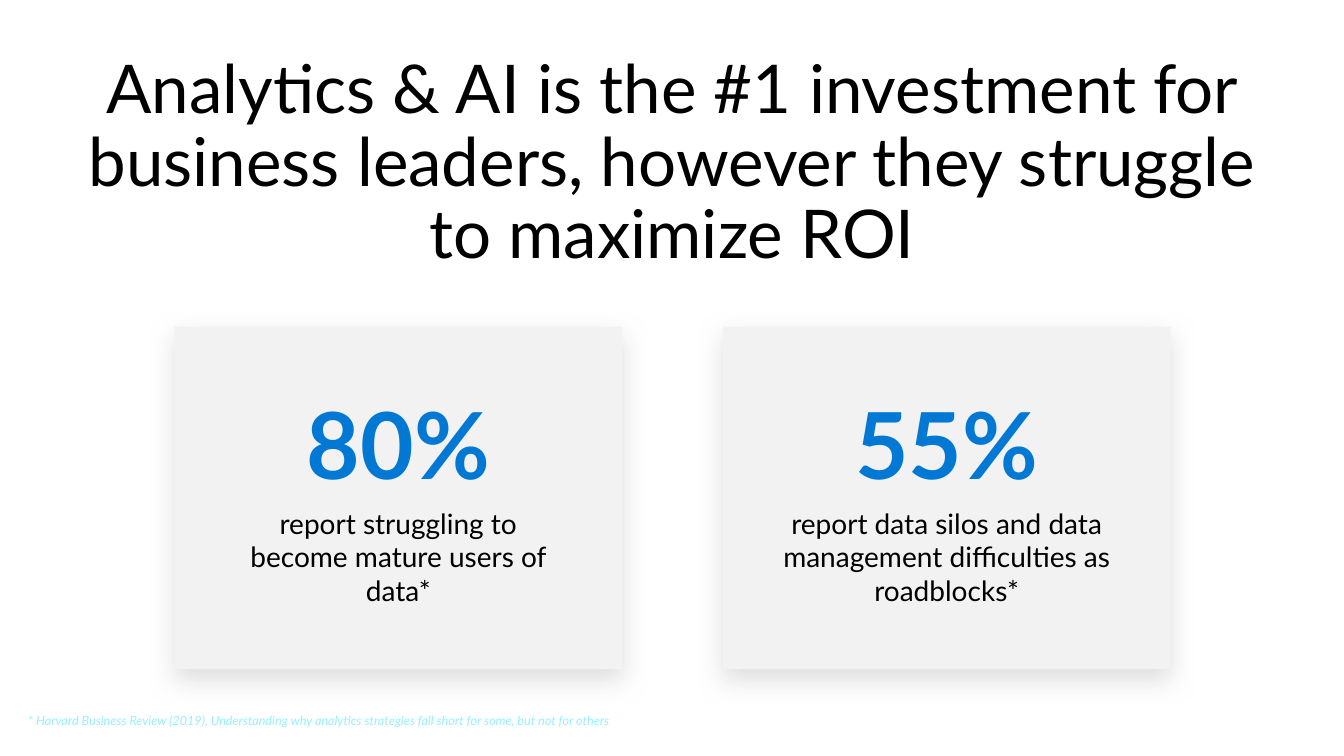
from pptx import Presentation, util as u
from pptx.dml.color import RGBColor
from pptx.enum import shapes, text
from pptx.oxml import parse_xml
from pptx.oxml.ns import nsdecls

HEADLINE = ("Analytics & AI is the #1 investment for business leaders, "
            "however they struggle to maximize ROI")
FINDINGS = [
    ("80%", "report struggling to become mature users of data*", 3.35),
    ("55%", "report data silos and data management difficulties as roadblocks*", 5.09),
]
FOOTNOTE = ("* Harvard Business Review (2019), Understanding why analytics "
            "strategies fall short for some, but not for others")

WIDTH, HEIGHT = 13.33, 7.5
CARD_LEFT, CARD_TOP, CARD_W, CARD_H = 1.73, 3.24, 4.44, 3.4
CARD_PITCH = CARD_W + 1
FINDING_TOP, FINDING_H = 3.68, 2.53

SHADOW = """<a:effectLst %s><a:outerShdw blurRad="%d" dist="%d" dir="5400000"
 algn="t" rotWithShape="0"><a:srgbClr val="D9D9D9"><a:alpha val="85000"/></a:srgbClr>
</a:outerShdw></a:effectLst>""" % (nsdecls("a"), u.Pt(18), u.Pt(7))


def color(code):
    return RGBColor.from_string(code)


def place(*lengths):
    return [u.Inches(length) for length in lengths]


def style(paragraph, size, code, bold=False, italic=False, align=text.PP_ALIGN.CENTER):
    paragraph.alignment = align
    for run in paragraph.runs:
        font = run.font
        font.name, font.size = "Lato", u.Pt(size)
        font.bold, font.italic = bold, italic
        font.color.rgb = color(code)


def add_text(slide, box, lines):
    frame = slide.shapes.add_textbox(*place(*box)).text_frame
    frame.word_wrap = True
    frame.auto_size = text.MSO_AUTO_SIZE.SHAPE_TO_FIT_TEXT
    frame.margin_left = frame.margin_right = u.Inches(0.2)
    frame.margin_top = frame.margin_bottom = u.Inches(0.16)
    frame.text = "\n".join(lines)
    for paragraph in frame.paragraphs:
        paragraph.space_after = u.Pt(6)
    return frame.paragraphs


def add_card(slide, left):
    card = slide.shapes.add_shape(shapes.MSO_SHAPE.RECTANGLE,
                                  *place(left, CARD_TOP, CARD_W, CARD_H))
    card.fill.solid()
    card.fill.fore_color.rgb = color("F2F2F2")
    card.line.fill.background()
    card._element.spPr.append(parse_xml(SHADOW))


def main():
    deck = Presentation()
    deck.slide_width, deck.slide_height = place(WIDTH, HEIGHT)
    slide = deck.slides.add_slide(deck.slide_layouts[5])

    title = slide.shapes.title
    title.left, title.top, title.width, title.height = place(0.64, 0.5, 12.05, 2.58)
    title.text_frame.text = HEADLINE
    title.text_frame.word_wrap = True
    title.text_frame.auto_size = text.MSO_AUTO_SIZE.NONE
    title.text_frame.vertical_anchor = text.MSO_ANCHOR.TOP
    headline = title.text_frame.paragraphs[0]
    headline.line_spacing = 0.9
    headline.space_before = u.Pt(0)
    style(headline, 48, "000000")

    for column, (share, claim, width) in enumerate(FINDINGS):
        left = CARD_LEFT + column * CARD_PITCH
        add_card(slide, left)
        box = (left + (CARD_W - width) / 2, FINDING_TOP, width, FINDING_H)
        figure, caption = add_text(slide, box, [share, claim])
        style(figure, 66, "0078D4", bold=True)
        style(caption, 20, "000000")

    footnote, = add_text(slide, (0.08, 7.02, 9.12, 0.46), [FOOTNOTE])
    footnote.line_spacing = 0.9
    style(footnote, 9, "96F0FF", italic=True, align=text.PP_ALIGN.LEFT)

    deck.save("out.pptx")


if __name__ == "__main__":
    main()
